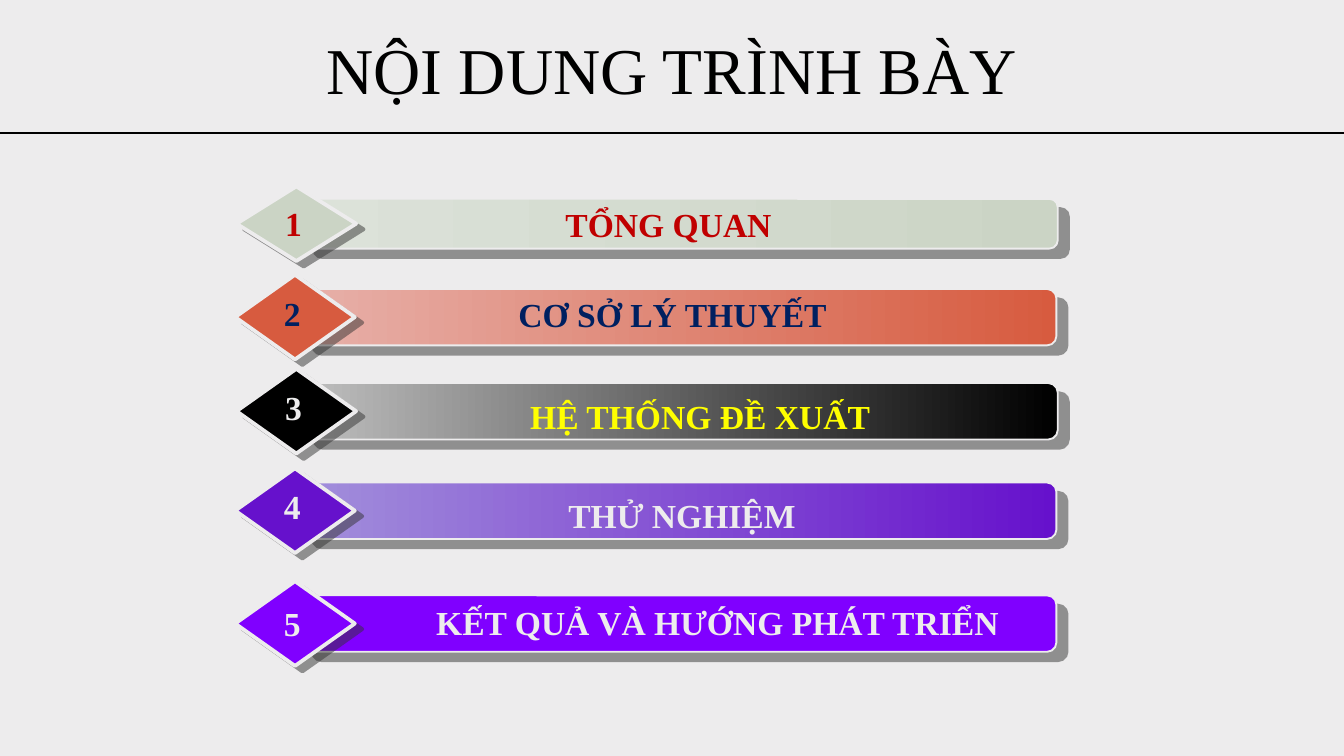
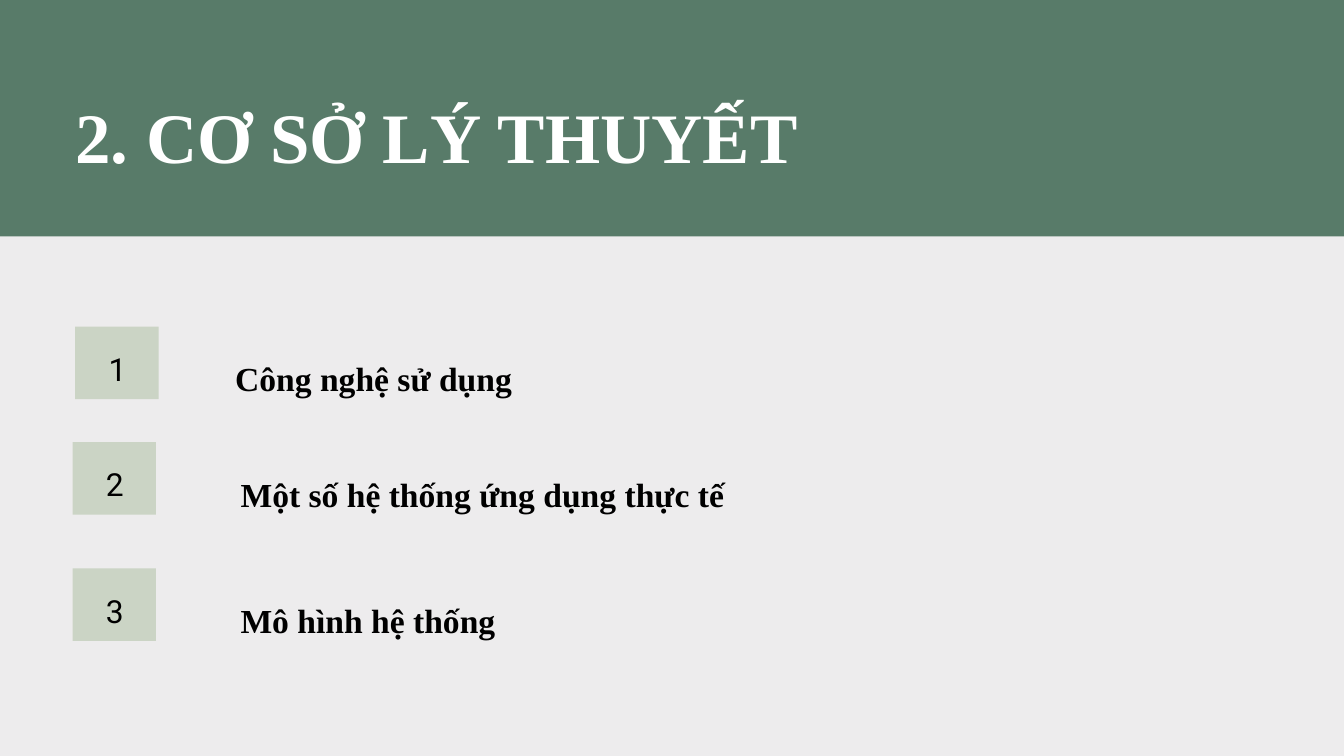
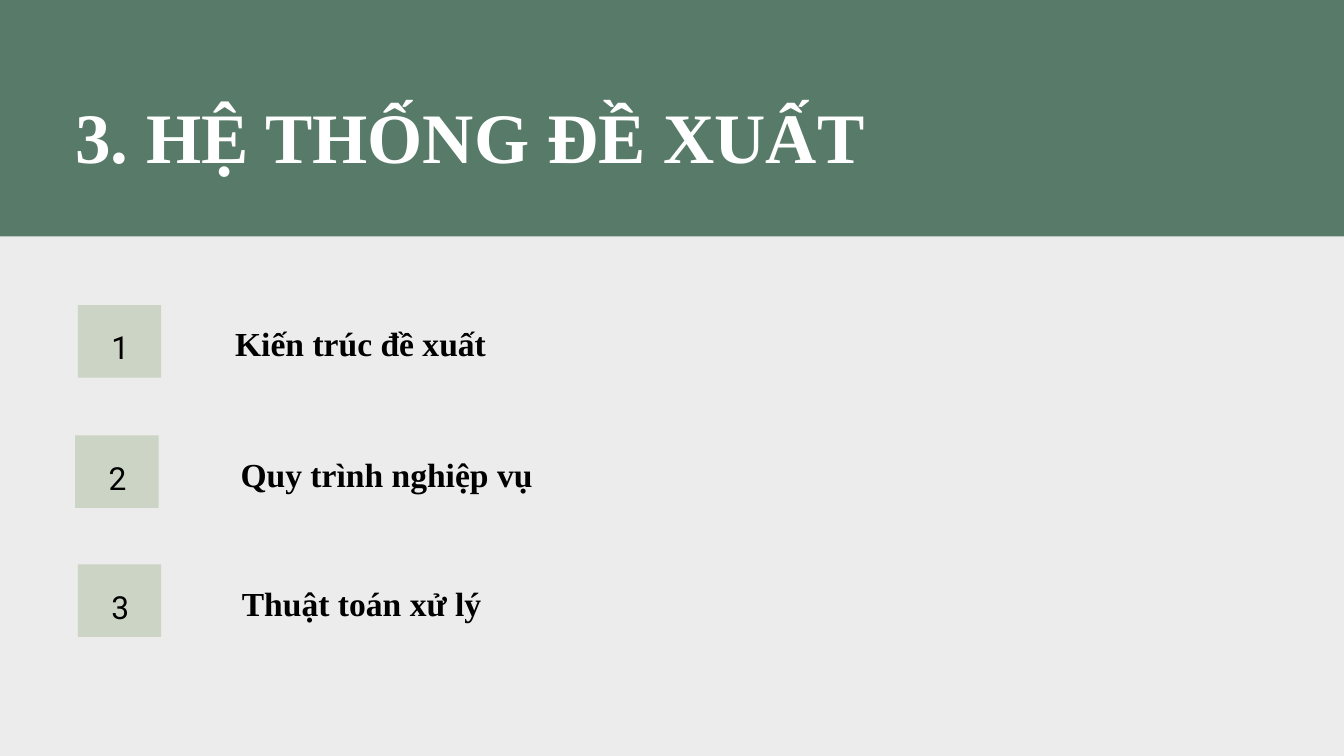
import dataclasses

import lxml.etree
import pptx
import pptx.dml.color
import pptx.enum.shapes
import pptx.enum.text
import pptx.oxml.ns
import pptx.util

CELL = pptx.util.Inches(0.1)  # square grid cell, 100 across the slide
COLUMNS, ROWS = 100, 56.25
SHAPE = pptx.enum.shapes.MSO_SHAPE
CENTER = pptx.enum.text.PP_ALIGN.CENTER
LEFT = pptx.enum.text.PP_ALIGN.LEFT


@dataclasses.dataclass(frozen=True)
class TextStyle:
    font: str
    size: float
    bold: bool = False
    align: int = LEFT
    spacing: float = 1.0
    inset: bool = False


@dataclasses.dataclass(frozen=True)
class Theme:
    paper: str = "EDECED"
    band: str = "587B69"
    sage: str = "CBD4C5"
    black: str = "000000"
    white: str = "FFFFFF"
    red: str = "C00000"
    navy: str = "002060"
    yellow: str = "FFFF00"
    orange: str = "D75B3F"
    purple: str = "6611CC"
    violet: str = "8000FF"
    shadow: str = "333333"
    heading: TextStyle = TextStyle("Times New Roman", 35, align=CENTER, spacing=1.2)
    section: TextStyle = TextStyle("Times New Roman", 38, bold=True, spacing=1.2)
    agenda: TextStyle = TextStyle("Times New Roman", 18, bold=True, align=CENTER, inset=True)
    topic: TextStyle = TextStyle("Times New Roman", 18, bold=True, spacing=1.15)
    badge: TextStyle = TextStyle("Roboto", 17, align=CENTER, spacing=1.15)


THEME = Theme()
RGB = pptx.dml.color.RGBColor.from_string


def add_box(shapes, cells, kind=None, fill=None):
    """Place a filled preset shape, or a text box if no kind is given, on the grid."""
    left, top, width, height = [round(cell * CELL) for cell in cells]
    if kind is None:
        return shapes.add_textbox(left, top, width, height)
    shape = shapes.add_shape(kind, left, top, width, height)
    shape.shadow.inherit = False
    shape.line.fill.background()
    shape.fill.solid()
    shape.fill.fore_color.rgb = RGB(fill)
    return shape


def write(shape, text, style, color, wrap=True):
    frame = shape.text_frame
    frame.word_wrap = wrap
    frame.auto_size = pptx.enum.text.MSO_AUTO_SIZE.SHAPE_TO_FIT_TEXT
    frame.vertical_anchor = pptx.enum.text.MSO_ANCHOR.TOP
    if not style.inset:
        frame.margin_left = frame.margin_right = 0
        frame.margin_top = frame.margin_bottom = 0
    paragraph = frame.paragraphs[0]
    paragraph.text = text
    paragraph.alignment = style.align
    paragraph.line_spacing = style.spacing
    paragraph.font.name = style.font
    paragraph.font.size = pptx.util.Pt(style.size)
    paragraph.font.bold = style.bold
    paragraph.font.color.rgb = RGB(color)


presentation = pptx.Presentation()
presentation.slide_width = COLUMNS * CELL
presentation.slide_height = round(ROWS * CELL)
slides = []
for _ in range(3):
    slide = presentation.slides.add_slide(presentation.slide_layouts[6])
    slide.background.fill.solid()
    slide.background.fill.fore_color.rgb = RGB(THEME.paper)
    slides.append(slide)
agenda_slide, *section_slides = slides

# Agenda
write(add_box(agenda_slide.shapes, (5.6, 1, 88.8, 7.1)), "NỘI DUNG TRÌNH BÀY",
      THEME.heading, THEME.black)
rule_top = round(9.9 * CELL)
rule = agenda_slide.shapes.add_connector(
    pptx.enum.shapes.MSO_CONNECTOR.STRAIGHT, 0, rule_top, COLUMNS * CELL, rule_top)
rule.line.color.rgb = RGB(THEME.black)
rule.line.width = pptx.util.Pt(0.75)
lxml.etree.SubElement(rule._element.spPr, pptx.oxml.ns.qn("a:effectLst"))

# text, text colour, number colour, gradient start, fill, bar (left, top, height),
# label (left, top, width), number top
agenda = [
    ("TỔNG QUAN", THEME.red, THEME.red, "DCE2D9", THEME.sage,
     (22.5, 14.8, 3.7), (27.6, 14.7, 44.3), 14.6),
    ("CƠ SỞ LÝ THUYẾT", THEME.navy, THEME.navy, "E7B0A9", THEME.orange,
     (22.4, 21.5, 4.2), (27.7, 21.4, 44.7), 21.3),
    ("HỆ THỐNG ĐỀ XUẤT", THEME.yellow, THEME.paper, "BFBFBF", THEME.black,
     (22.5, 28.5, 4.2), (25.5, 29, 53.2), 28.3),
    ("THỬ NGHIỆM", THEME.paper, THEME.paper, "A28FDB", THEME.purple,
     (22.4, 35.9, 4.2), (28.6, 36.3, 44.3), 35.7),
    ("KẾT QUẢ VÀ HƯỚNG PHÁT TRIỂN", THEME.paper, THEME.paper, None, THEME.violet,
     (22.4, 44.3, 4.2), (28.4, 44.3, 50), 44.4),
]
for number, (text, text_color, number_color, start, fill, bar_place, label_place,
             number_top) in enumerate(agenda, 1):
    shapes = agenda_slide.shapes.add_group_shape().shapes
    left, top, height = bar_place
    bar = add_box(shapes, (left, top, 56.2, height), SHAPE.ROUNDED_RECTANGLE, fill)
    if start:
        bar.fill.gradient()
        bar.fill.gradient_angle = 0
        for stop, color in zip(bar.fill.gradient_stops, (start, fill)):
            stop.color.rgb = RGB(color)
    diamond_height = 1.5 * height
    diamond_top = top + (height - diamond_height) / 2
    diamond = add_box(shapes, (left - 4.9, diamond_top, 8.9, diamond_height),
                      SHAPE.DIAMOND, fill)
    for shape, line_width, distance, angle in ((bar, 1, 7.8, 40), (diamond, 2, 5, 37)):
        shape.line.color.rgb = RGB(THEME.paper)
        shape.line.width = pptx.util.Pt(line_width)
        effects = shape._element.spPr.find(pptx.oxml.ns.qn("a:effectLst"))
        shadow = lxml.etree.SubElement(
            effects, pptx.oxml.ns.qn("a:outerShdw"), blurRad="0",
            dist=str(pptx.util.Pt(distance)), dir=str(angle * 60000),
            algn="ctr", rotWithShape="0")
        shade = lxml.etree.SubElement(shadow, pptx.oxml.ns.qn("a:srgbClr"), val=THEME.shadow)
        lxml.etree.SubElement(shade, pptx.oxml.ns.qn("a:alpha"), val="50000")
    write(add_box(shapes, (*label_place, 4)), text, THEME.agenda, text_color)
    write(add_box(shapes, (20.2 if left == 22.5 else 20.1, number_top, 3.3, 4)),
          str(number), THEME.agenda, number_color, wrap=False)

# Sections: title, then topics as text, badge (left, top), label (left, top, width)
sections = [
    ("2. CƠ SỞ LÝ THUYẾT", [
        ("Công nghệ sử dụng", (5.6, 24.3), (17.5, 26.2, 62.7)),
        ("Một số hệ thống ứng dụng thực tế", (5.4, 32.9), (17.9, 34.8, 70.5)),
        ("Mô hình hệ thống", (5.4, 42.3), (17.9, 44.2, 43.3)),
    ]),
    ("3. HỆ THỐNG ĐỀ XUẤT", [
        ("Kiến trúc đề xuất", (5.8, 22.7), (17.5, 23.6, 62.7)),
        ("Quy trình nghiệp vụ", (5.6, 32.4), (17.9, 33.3, 43.3)),
        ("Thuật toán xử lý", (5.8, 42), (18, 42.9, 43.3)),
    ]),
]
for slide, (title, topics) in zip(section_slides, sections):
    add_box(slide.shapes, (0, 0, COLUMNS, 17.6), SHAPE.RECTANGLE, THEME.band)
    write(add_box(slide.shapes, (5.6, 5.6, 74.6, 7.7)), title, THEME.section, THEME.white)
    for number, (text, (left, top), label_place) in enumerate(topics, 1):
        badge = slide.shapes.add_group_shape().shapes
        add_box(badge, (left, top, 6.2, 5.4), SHAPE.RECTANGLE, THEME.sage)
        write(add_box(badge, (left + 1.2, top + 1.3, 3.9, 3.3), SHAPE.RECTANGLE, THEME.sage),
              str(number), THEME.badge, THEME.black)
        write(add_box(slide.shapes, (*label_place, 3.5)), text, THEME.topic, THEME.black)

presentation.save("out.pptx")
